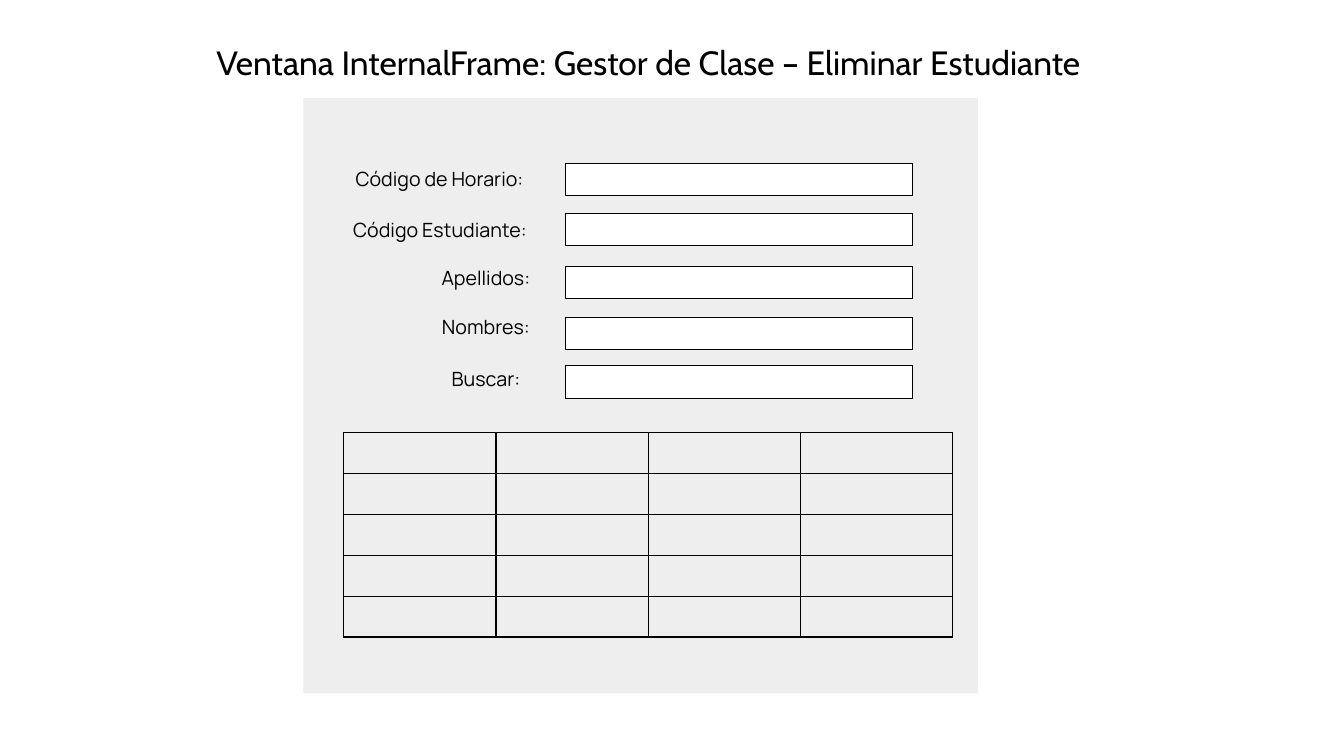
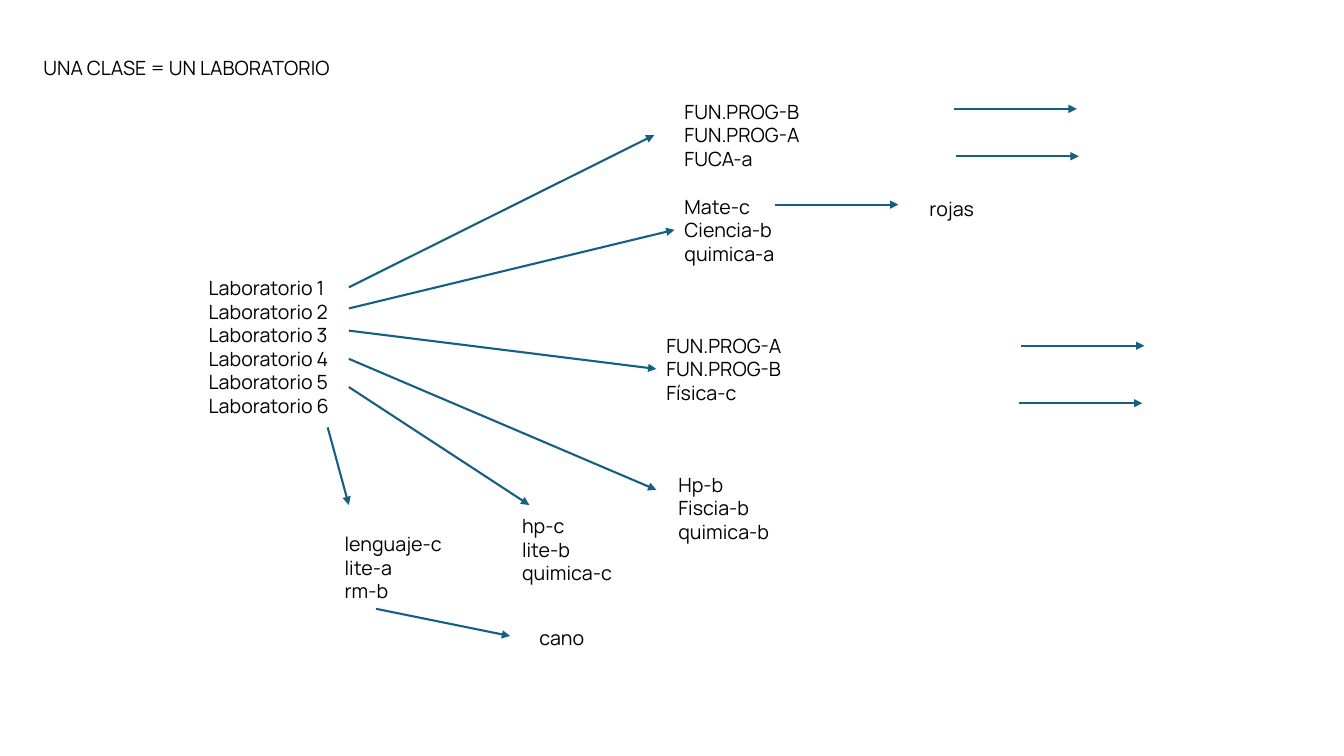
from lxml import etree
from pptx import Presentation
from pptx import util as u
from pptx.dml.color import RGBColor
from pptx.enum import shapes, text
from pptx.oxml import ns

PX = 9144
BLACK, WHITE, PANEL, ARROW = "000000", "FFFFFF", "EEEEEE", "156082"
HEADING = {"name": "Cabin", "size": u.Pt(24), "bold": False}
REGULAR = {"name": "Manrope", "size": u.Pt(14), "bold": False}
FRAME = {
    "word_wrap": True,
    "auto_size": text.MSO_AUTO_SIZE.NONE,
    "vertical_anchor": text.MSO_ANCHOR.TOP,
    "margin_left": 10 * PX,
    "margin_right": 10 * PX,
    "margin_top": 5 * PX,
    "margin_bottom": 5 * PX,
}
LEFT, CENTER = text.PP_ALIGN.LEFT, text.PP_ALIGN.CENTER

FIELDS = [
    ("Código de Horario:", (334, 161, 204, 34), 162),
    ("Código Estudiante:", (334, 211, 205, 34), 212),
    ("Apellidos:", (425, 259, 114, 34), 264),
    ("Nombres:", (425, 308, 114, 34), 315),
    ("Buscar:", (436, 359, 92, 34), 363),
]
LABORATORIES = [f"Laboratorio {number}" for number in range(1, 7)]
GROUPS = [
    (["FUN.PROG-B", "FUN.PROG-A", "FUCA-a"], (669, 94, 210, 81)),
    (["Mate-c", "Ciencia-b", "quimica-a"], (669, 188, 126, 81)),
    (["FUN.PROG-A", "FUN.PROG-B", "Física-c"], (651, 326, 139, 81)),
    (["Hp-b", "Fiscia-b", "quimica-b"], (663, 464, 126, 81)),
    (["hp-c", "lite-b", "quimica-c"], (508, 505, 124, 81)),
    (["lenguaje-c", "lite-a", "rm-b"], (332, 523, 129, 81)),
    (["rojas"], (912, 190, 69, 34)),
    (["cano"], (525, 616, 71, 34)),
]
LABORATORY_ARROWS = [
    (346, 285, 649, 134),
    (346, 306, 669, 228),
    (346, 328, 651, 366),
    (346, 356, 651, 486),
    (346, 384, 525, 501),
    (325, 424, 346, 501),
    (373, 604, 506, 631),
]
TEACHER_ARROW_LENGTH = 122
TEACHER_ARROW_STARTS = [(946, 108), (769, 203), (948, 155), (1013, 343), (1011, 400)]


def emu(box):
    return [length * PX for length in box]


def color(value):
    return RGBColor.from_string(value)


def apply(target, values):
    for name, value in values.items():
        setattr(target, name, value)


def write(shape, lines, style=REGULAR, align=LEFT):
    frame = shape.text_frame
    apply(frame, FRAME)
    frame.text = "\n".join(lines)
    for paragraph in frame.paragraphs:
        properties = paragraph._p.get_or_add_pPr()
        properties.set("marL", "0")
        properties.set("indent", "0")
        etree.SubElement(properties, ns.qn("a:buNone"))
        apply(paragraph, {"alignment": align, "space_before": u.Pt(0), "line_spacing": 1.0})
        for run in paragraph.runs:
            apply(run.font, style)
            run.font.color.rgb = color(BLACK)


def fill_placeholder(placeholder, box, lines, style=REGULAR, align=LEFT):
    apply(placeholder, dict(zip(("left", "top", "width", "height"), emu(box))))
    write(placeholder, lines, style, align)


def add_label(slide, lines, box, align=LEFT):
    write(slide.shapes.add_textbox(*emu(box)), lines, align=align)


def add_rectangle(slide, box, fill, outline=None):
    rectangle = slide.shapes.add_shape(shapes.MSO_SHAPE.RECTANGLE, *emu(box))
    rectangle.shadow.inherit = False
    rectangle.fill.solid()
    rectangle.fill.fore_color.rgb = color(fill)
    if outline:
        rectangle.line.color.rgb = color(outline)
        rectangle.line.width = u.Pt(0.75)
    else:
        rectangle.line.fill.background()


def add_arrow(slide, ends):
    arrow = slide.shapes.add_connector(shapes.MSO_CONNECTOR.STRAIGHT, *emu(ends))
    arrow.line.color.rgb = color(ARROW)
    arrow.line.width = u.Pt(1.5)
    etree.SubElement(arrow.line._get_or_add_ln(), ns.qn("a:tailEnd"), type="triangle")
    etree.SubElement(arrow._element.spPr, ns.qn("a:effectLst"))


def add_borders(cell):
    properties = cell._tc.get_or_add_tcPr()
    for side in ("lnL", "lnR", "lnT", "lnB"):
        border = etree.SubElement(properties, ns.qn(f"a:{side}"), w=str(u.Pt(1)))
        fill = etree.SubElement(border, ns.qn("a:solidFill"))
        etree.SubElement(fill, ns.qn("a:srgbClr"), val=BLACK)


def add_empty_grid(slide, rows, columns, box):
    grid = slide.shapes.add_table(rows, columns, *emu(box)).table
    apply(grid, {"first_row": False, "horz_banding": False})
    for cell in grid.iter_cells():
        apply(cell, {"margin_top": 2 * PX, "margin_bottom": 2 * PX})
        add_borders(cell)
        cell.fill.background()


def build_form(deck):
    slide = deck.slides.add_slide(deck.slide_layouts[5])
    fill_placeholder(
        slide.shapes.title,
        (187, 37, 912, 50),
        ["Ventana InternalFrame: Gestor de Clase – Eliminar Estudiante"],
        HEADING,
        CENTER,
    )
    add_rectangle(slide, (301, 97, 669, 591), PANEL)
    for label, label_box, input_top in FIELDS:
        add_rectangle(slide, (561, input_top, 344, 32), WHITE, BLACK)
        add_label(slide, [label], label_box, CENTER)
    add_empty_grid(slide, 5, 4, (341, 429, 604, 203))


def build_class_map(deck):
    slide = deck.slides.add_slide(deck.slide_layouts[1])
    fill_placeholder(slide.shapes.title, (33, 50, 314, 34), ["UNA CLASE = UN LABORATORIO"])
    fill_placeholder(slide.placeholders[1], (197, 269, 150, 175), LABORATORIES)
    for lines, box in GROUPS:
        add_label(slide, lines, box)
    for ends in LABORATORY_ARROWS:
        add_arrow(slide, ends)
    for left, top in TEACHER_ARROW_STARTS:
        add_arrow(slide, (left, top, left + TEACHER_ARROW_LENGTH, top))


def main():
    deck = Presentation()
    apply(deck, {"slide_width": 1333 * PX, "slide_height": 750 * PX})
    build_form(deck)
    build_class_map(deck)
    deck.save("out.pptx")


if __name__ == "__main__":
    main()
